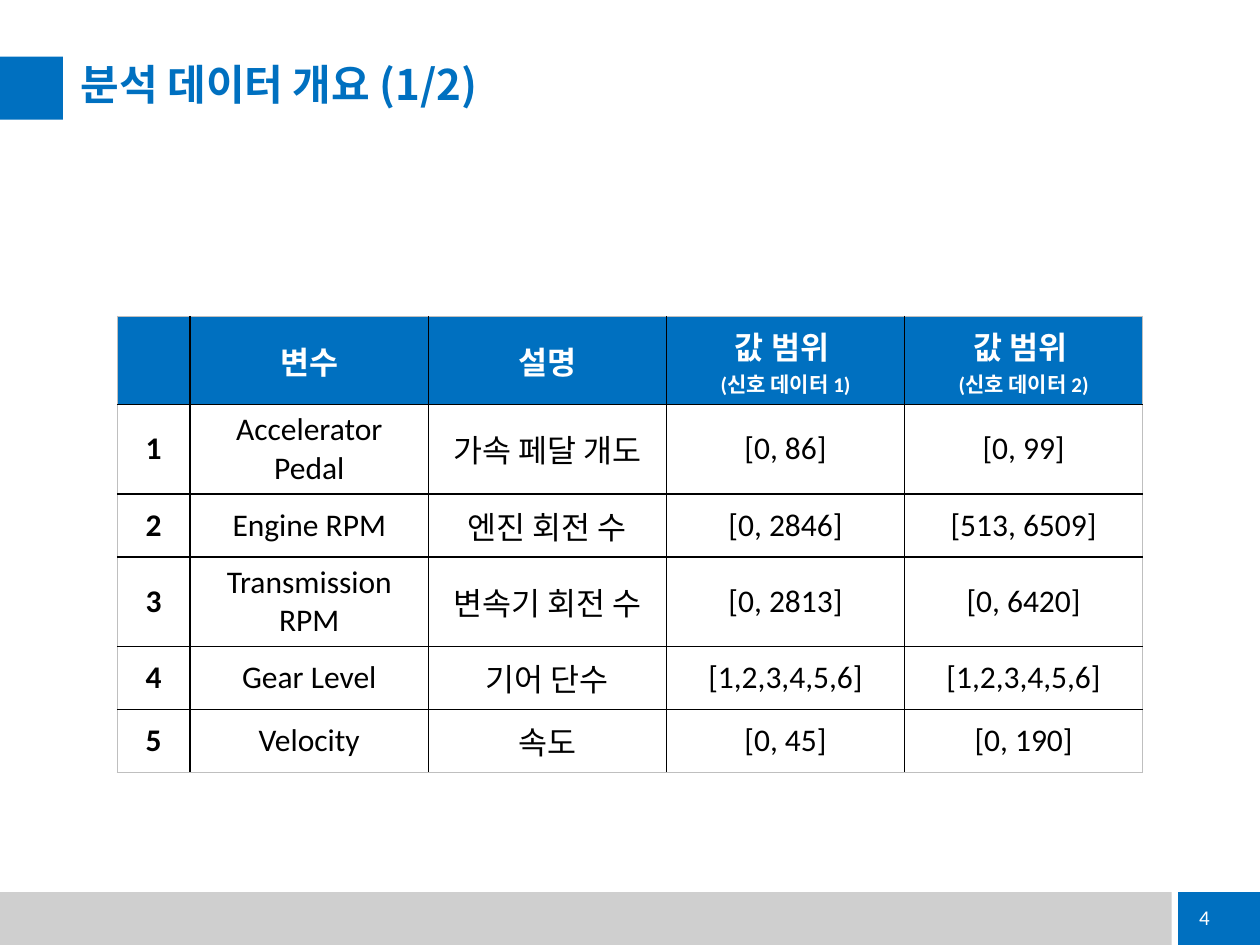
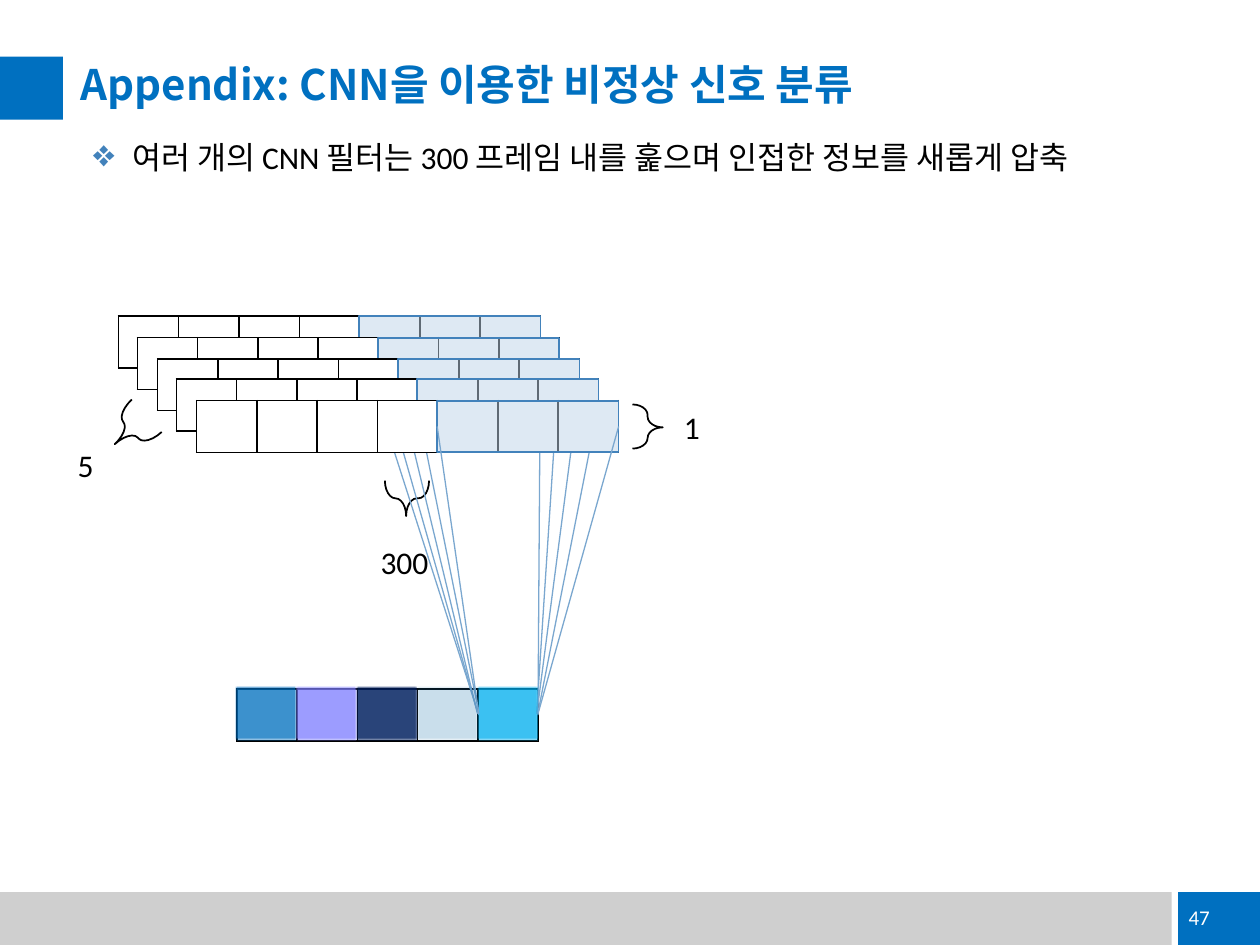
"""Build two slides: the data overview table and the CNN filter appendix."""
from lxml import etree
from pptx import Presentation
from pptx.dml.color import RGBColor
from pptx.enum.shapes import MSO_CONNECTOR, MSO_SHAPE
from pptx.enum.text import MSO_ANCHOR, PP_ALIGN
from pptx.oxml.ns import qn
from pptx.util import Emu, Pt

SCALE = 9144  # EMU per px, at 100 px to the inch
RECTANGLE, BRACE = MSO_SHAPE.RECTANGLE, MSO_SHAPE.LEFT_BRACE
STRAIGHT = MSO_CONNECTOR.STRAIGHT
LEFT, CENTER, RIGHT = PP_ALIGN.LEFT, PP_ALIGN.CENTER, PP_ALIGN.RIGHT
TOP, MIDDLE = MSO_ANCHOR.TOP, MSO_ANCHOR.MIDDLE
LEFT_SIDE, RIGHT_SIDE = 1, 3

BLUE = RGBColor(0x00, 0x70, 0xC0)
BAND_GRAY = RGBColor(0xCF, 0xCF, 0xCF)
EDGE_GRAY = RGBColor(0xBF, 0xBF, 0xBF)
BLACK = RGBColor(0x00, 0x00, 0x00)
WHITE = RGBColor(0xFF, 0xFF, 0xFF)
STEEL = RGBColor(0x42, 0x82, 0xBB)
WINDOW_FILL = RGBColor(0xBF, 0xD5, 0xE9)
RAY = RGBColor(0x7A, 0xA7, 0xCF)
CYAN = RGBColor(0x00, 0xB0, 0xF0)
PALE_BLUE = RGBColor(0x1F, 0x77, 0xB4)
NAVY = RGBColor(0x00, 0x20, 0x60)
VIOLET = RGBColor(0x7F, 0x7F, 0xFF)

BODY_FONT, TITLE_FONT = "Calibri", "Noto Sans CJK KR"

HEADERS = [
    [],
    [("변수", 18)],
    [("설명", 18)],
    [("값 범위 ", 18), ("(신호 데이터 1)", 12)],
    [("값 범위 ", 18), ("(신호 데이터 2)", 12)],
]
VARIABLES = [
    ("Accelerator Pedal", "가속 페달 개도", "[0, 86]", "[0, 99]"),
    ("Engine RPM", "엔진 회전 수", "[0, 2846]", "[513, 6509]"),
    ("Transmission RPM", "변속기 회전 수", "[0, 2813]", "[0, 6420]"),
    ("Gear Level", "기어 단수", "[1,2,3,4,5,6]", "[1,2,3,4,5,6]"),
    ("Velocity", "속도", "[0, 45]", "[0, 190]"),
]
COLUMN_WIDTHS = (58, 189, 189, 189, 189)
ROW_HEIGHTS = (70, 71, 50, 71, 50, 50)
OUTPUT_OFFSETS = [(0, 0), (-1, -2), (-1, -1), (0, -2), (0, -1)]
FEATURES = [(3, PALE_BLUE, 5, 5), (2, NAVY, 30, 5), (1, VIOLET, 25, 5), (0, BLUE, 30, 4)]


def px(*lengths):
    """Turn px lengths into EMU."""
    return [Emu(round(length * SCALE)) for length in lengths]


def add_run(paragraph, text, size, color, bold=False, font=BODY_FONT):
    """Add one formatted run."""
    run = paragraph.add_run()
    run.text = text
    run.font.size, run.font.bold, run.font.name = Pt(size), bold, font
    run.font.color.rgb = color


def add_label(slide, box, text, size=18, color=BLACK, align=CENTER, anchor=TOP):
    """Add a one-line text box and return its paragraph."""
    frame = slide.shapes.add_textbox(*px(*box)).text_frame
    frame.word_wrap, frame.vertical_anchor = True, anchor
    paragraph = frame.paragraphs[0]
    paragraph.alignment = align
    add_run(paragraph, text, size, color)
    return paragraph


def add_block(slide, box, color, opacity=100, outline=None):
    """Add a filled rectangle, optionally see-through or outlined."""
    block = slide.shapes.add_shape(RECTANGLE, *px(*box))
    block.shadow.inherit = False
    block.fill.solid()
    block.fill.fore_color.rgb = color
    if opacity < 100:
        solid = block.fill._xPr.find(qn("a:solidFill"))
        etree.SubElement(solid[0], qn("a:alpha"), val=str(opacity * 1000))
    if outline is None:
        block.line.fill.background()
    else:
        block.line.color.rgb, block.line.width = outline, Pt(1)
    return block


def add_frame(slide, title, page):
    """Add the bands, title and page number shared by every slide."""
    add_block(slide, (0, 708, 930, 42), BAND_GRAY)
    add_block(slide, (935, 708, 65, 42), BLUE)
    add_block(slide, (0, 45, 50, 50), BLUE)
    frame = slide.shapes.add_textbox(*px(64, 50, 901, 38)).text_frame
    frame.word_wrap, frame.vertical_anchor = True, MIDDLE
    frame.margin_left = frame.margin_right = frame.margin_top = frame.margin_bottom = 0
    heading = frame.paragraphs[0]
    heading.line_spacing = 0.9
    add_run(heading, title, 24, BLUE, True, TITLE_FONT)
    add_label(slide, (745, 708, 225, 40), page, 12, WHITE, RIGHT, MIDDLE)


def set_border(cell, side, color, points):
    """Draw one side of a cell: L, R, T or B."""
    border = etree.SubElement(cell._tc.get_or_add_tcPr(), qn(f"a:ln{side}"), w=str(Pt(points)))
    solid = etree.SubElement(border, qn("a:solidFill"))
    etree.SubElement(solid, qn("a:srgbClr"), val=str(color))


def add_grid(slide, box, rows, columns):
    """Add an even table without banding."""
    grid = slide.shapes.add_table(rows, columns, *px(*box)).table
    grid.first_row = grid.horz_banding = False
    return grid


def fill_cell(cell, lines, color, bold):
    """Write centred lines of text and sizes into a cell."""
    cell.vertical_anchor = MIDDLE
    for index, (text, size) in enumerate(lines):
        frame = cell.text_frame
        paragraph = frame.add_paragraph() if index else frame.paragraphs[0]
        paragraph.alignment = CENTER
        add_run(paragraph, text, size, color, bold)


def add_variable_table(slide, left, top):
    """Add the table of variables with their value ranges."""
    body = [[[(text, 18)] for text in (str(number), *variable)]
            for number, variable in enumerate(VARIABLES, 1)]
    rows = [HEADERS, *body]
    last_row, last_column = len(rows) - 1, len(HEADERS) - 1
    box = (left, top, sum(COLUMN_WIDTHS), sum(ROW_HEIGHTS))
    grid = add_grid(slide, box, len(rows), len(HEADERS))
    for column, width in zip(grid.columns, px(*COLUMN_WIDTHS)):
        column.width = width
    for row, height in zip(grid.rows, px(*ROW_HEIGHTS)):
        row.height = height
    for row, contents in enumerate(rows):
        for column, lines in enumerate(contents):
            cell = grid.cell(row, column)
            outer = {"L": column == 0, "R": column == last_column,
                     "T": row == 0, "B": row == last_row}
            for side, is_edge in outer.items():
                set_border(cell, side, EDGE_GRAY if is_edge else BLACK, 0.5 if is_edge else 1)
            if row == 0:
                cell.fill.solid()
                cell.fill.fore_color.rgb = BLUE
            else:
                cell.fill.background()
            fill_cell(cell, lines, BLACK if row else WHITE, row == 0 or column == 0)


def add_strip(slide, left, top, width, count):
    """Add a one-row strip of empty white cells."""
    strip = add_grid(slide, (left, top, width, 41), 1, count)
    for cell in strip.iter_cells():
        cell.margin_top = cell.margin_bottom = 0
        for side in "LRTB":
            set_border(cell, side, BLACK, 1)
        cell.fill.solid()
        cell.fill.fore_color.rgb = WHITE


def add_brace(slide, box, rotation, curl):
    """Add a rotated brace."""
    brace = slide.shapes.add_shape(BRACE, *px(*box))
    brace.shadow.inherit = False
    brace.fill.background()
    brace.line.color.rgb, brace.line.width = BLACK, Pt(1)
    brace.rotation = rotation
    brace.adjustments[0], brace.adjustments[1] = curl, 0.481


def add_ray(slide, window, feature, side):
    """Join the same side of a filter window and its output feature."""
    ray = slide.shapes.add_connector(STRAIGHT, 0, 0, 0, 0)
    ray.begin_connect(window, side)
    ray.end_connect(feature, side)
    ray.line.color.rgb, ray.line.width = RAY, Pt(0.75)
    etree.SubElement(ray._element.spPr, qn("a:effectLst"))


def add_feature(slide, left, top, column, layer, color, opacity):
    """Tint one output cell for one signal layer."""
    dx, dy = OUTPUT_OFFSETS[layer]
    return add_block(slide, (left + 48 * column + dx, top + dy, 47, 41), color, opacity)


def add_convolution(slide, left, top):
    """Add the stacked signals, the filter windows and the output strip."""
    output_left, output_top = left + 94, top + 296
    add_brace(slide, (left + 215, top + 127, 28, 35), 270, 0.654)
    add_label(slide, (left + 183, top + 175, 88, 40), "300")
    add_brace(slide, (left - 7, top + 73, 34, 35), 317.3, 0.631)
    add_label(slide, (left - 70, top + 98, 88, 40), "5")
    add_brace(slide, (left + 408, top + 70, 24, 35), 180, 0.631)
    add_label(slide, (left + 439, top + 68, 31, 40), "1")
    add_strip(slide, output_left, output_top, 239, 5)
    for layer in range(5):
        signal_left, signal_top = left + layer * 31 // 2, top + round(layer * 16.75)
        add_strip(slide, signal_left, signal_top, 335, 7)
        window = add_block(slide, (signal_left + 191, signal_top, 144, 41),
                           WINDOW_FILL, 50, STEEL)
        feature = add_feature(slide, output_left, output_top, 4, layer, CYAN, 25)
        for side in (LEFT_SIDE, RIGHT_SIDE):
            add_ray(slide, window, feature, side)
    for column, color, opacity, layers in FEATURES:
        for layer in range(layers):
            add_feature(slide, output_left, output_top, column, layer, color, opacity)


def add_bullet(slide, box, text):
    """Add a text line with a hanging diamond bullet."""
    properties = add_label(slide, box, text, align=LEFT)._p.get_or_add_pPr()
    indent, = px(31)
    properties.set("marL", str(indent))
    properties.set("indent", str(-indent))
    bullet_color = etree.SubElement(properties, qn("a:buClr"))
    etree.SubElement(bullet_color, qn("a:srgbClr"), val=str(STEEL))
    etree.SubElement(properties, qn("a:buSzPct"), val="120000")
    etree.SubElement(properties, qn("a:buChar"), char="❖")


def main():
    """Build and save both slides."""
    deck = Presentation()
    deck.slide_width, deck.slide_height = px(1000, 750)
    blank = deck.slide_layouts[6]

    overview = deck.slides.add_slide(blank)
    add_frame(overview, "분석 데이터 개요 (1/2)", "4")
    add_variable_table(overview, 93, 251)

    appendix = deck.slides.add_slide(blank)
    add_frame(appendix, "Appendix: CNN을 이용한 비정상 신호 분류", "47")
    add_bullet(appendix, (64, 105, 901, 40),
               "여러 개의 CNN 필터는 300 프레임 내를 훑으며 인접한 정보를 새롭게 압축")
    add_convolution(appendix, 94, 251)

    deck.save("out.pptx")


if __name__ == "__main__":
    main()
